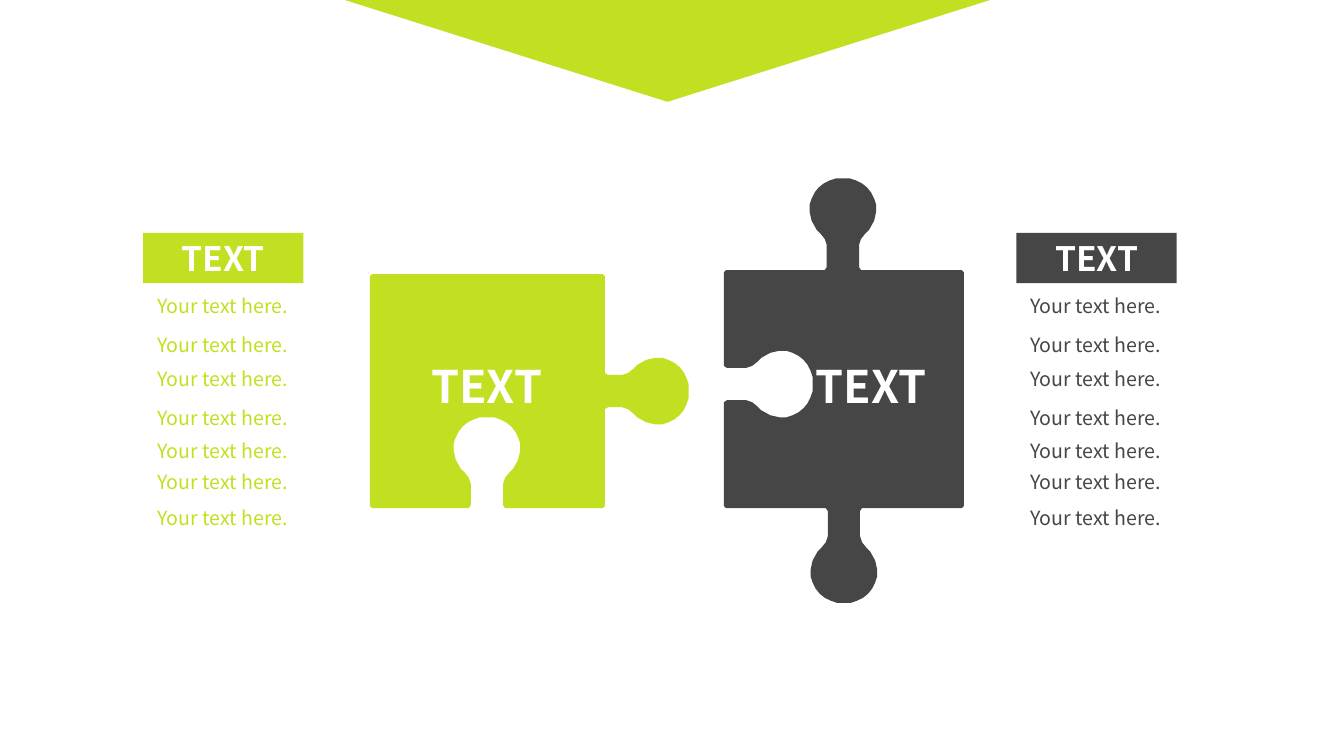
from pptx import Presentation
from pptx.dml.color import RGBColor
from pptx.enum.shapes import MSO_SHAPE as Shape
from pptx.enum.text import MSO_ANCHOR as Anchor, PP_ALIGN as Align
from pptx.util import Inches, Pt

COLORS = {"lime": "C3DF21", "dark": "464646", "white": "FFFFFF"}
FONT = "Noto Sans CJK SC"

# Half a puzzle knob: offset from its axis, distance from its centre
CURVE = [(.16, -.33), (.18, -.27), (.22, -.22), (.26, -.18), (.31, -.09),
         (.33, 0), (.33, .07), (.31, .13), (.28, .19), (.24, .24),
         (.19, .28), (.13, .31), (.07, .33)]
CUT = .02  # bevel of the piece corners


def paint(shape, color):
    shape.shadow.inherit = False
    shape.fill.solid()
    shape.fill.fore_color.rgb = RGBColor.from_string(COLORS[color])
    shape.line.fill.background()


def write(shape, text, size, color, bold=False, align=Align.LEFT):
    frame = shape.text_frame
    frame.word_wrap = True
    frame.vertical_anchor = Anchor.TOP
    para = frame.paragraphs[0]
    para.alignment = align
    run = para.add_run()
    run.text = text
    run.font.name = FONT
    run.font.size = Pt(size)
    run.font.bold = bold
    run.font.color.rgb = RGBColor.from_string(COLORS[color])


prs = Presentation()
prs.slide_width, prs.slide_height = Inches(13.33), Inches(7.5)
shapes = prs.slides.add_slide(prs.slide_layouts[6]).shapes

banner = shapes.add_shape(Shape.ISOSCELES_TRIANGLE, Inches(3.42), Inches(0),
                          Inches(6.4), Inches(1.01))
banner.rotation = 180
paint(banner, "lime")

# Lists with a heading
for left, color in [(1.42, "lime"), (10.08, "dark")]:
    head = shapes.add_shape(Shape.RECTANGLE, Inches(left), Inches(2.31),
                            Inches(1.59), Inches(.5))
    paint(head, color)
    write(head, "TEXT", 24, "white", True, Align.CENTER)
    for top in (2.87, 3.25, 3.59, 3.98, 4.31, 4.61, 4.97):
        item = shapes.add_textbox(Inches(left + .04), Inches(top),
                                  Inches(1.64), Inches(.34))
        write(item, "Your text here.", 14, color)

# Pieces: colour, body corners, label left, and by side the middle of the knob
# on the x or y axis, its reach, and 1 for a knob or -1 for a socket
PIECES = [
    ("lime", (3.67, 2.72, 6, 5.04), 4.18,
     {"right": (3.88, .5, 1), "bottom": (4.83, .57, -1)}),
    ("dark", (7.18, 2.68, 9.56, 5.04), 7.99,
     {"top": (8.36, .58, 1), "bottom": (8.37, .61, 1),
      "left": (3.81, .55, -1)}),
]

for color, (x1, y1, x2, y2), left, knobs in PIECES:
    sides = [("top", x1, y1, 1, 0, x2 - x1), ("right", x2, y1, 0, 1, y2 - y1),
             ("bottom", x2, y2, -1, 0, x2 - x1), ("left", x1, y2, 0, -1, y2 - y1)]
    points = []
    for side, x, y, dx, dy, length in sides:
        edge = [(CUT, 0)]
        if side in knobs:
            mid, reach, sign = knobs[side]
            axis = (mid - x) * dx + (mid - y) * dy
            half = [(.18, 0), (.16, .03)] + [(w, reach + h) for w, h in CURVE]
            edge += [(axis - w, sign * h) for w, h in half]
            edge.append((axis, sign * (reach + .33)))
            edge += [(axis + w, sign * h) for w, h in reversed(half)]
        edge.append((length - CUT, 0))
        points += [(Inches(x + a * dx + h * dy), Inches(y + a * dy - h * dx))
                   for a, h in edge]
    path = shapes.build_freeform(*points[0])
    path.add_line_segments(points[1:], close=True)
    paint(path.convert_to_shape(), color)
    label = shapes.add_textbox(Inches(left), Inches(3.51), Inches(1.35), Inches(.64))
    write(label, "TEXT", 32, "white", True)

prs.save("out.pptx")
